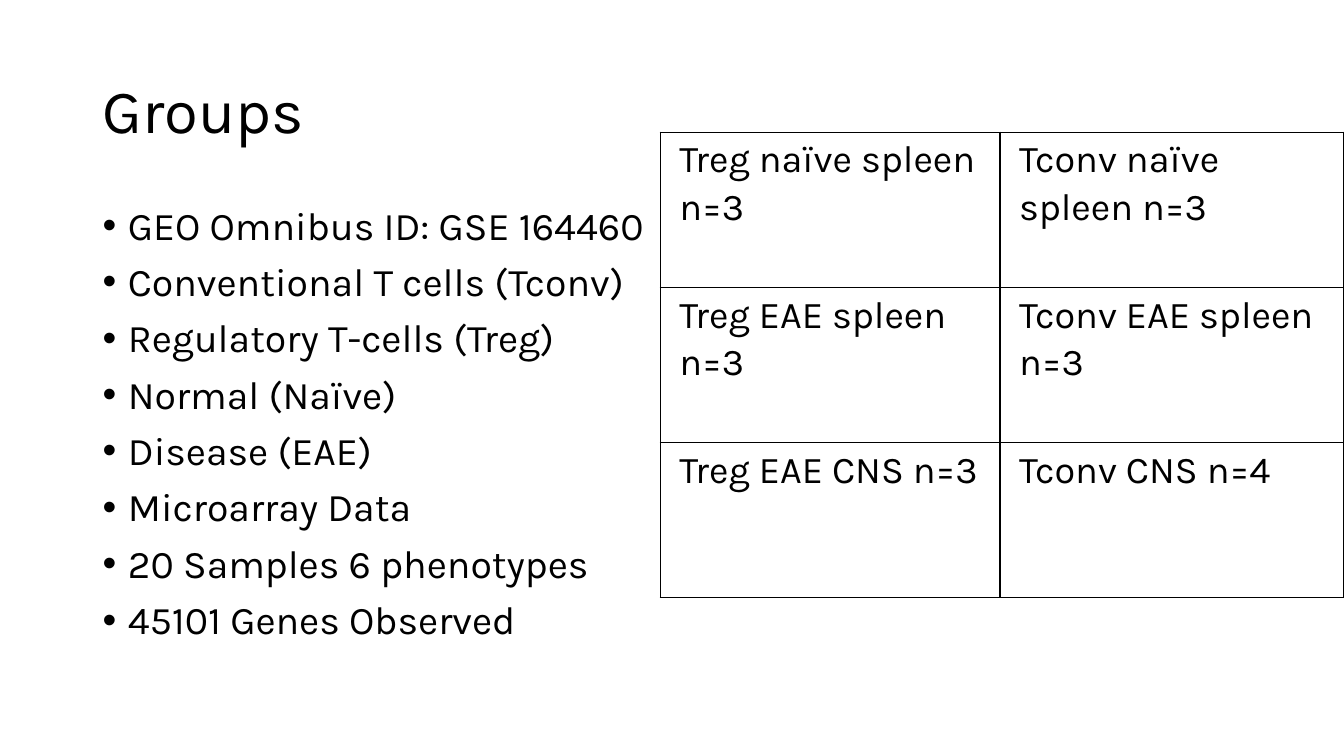
import pptx
import pptx.dml.color
import pptx.enum.text
import pptx.oxml
import pptx.oxml.ns
import pptx.util
from pptx.util import Cm

BLACK = pptx.dml.color.RGBColor(0, 0, 0)
FONT = "Karla"

ITEMS = [
    "GEO Omnibus ID: GSE 164460",
    "Conventional T cells (Tconv)",
    "Regulatory T-cells (Treg)",
    "Normal (Naïve)",
    "Disease (EAE)",
    "Microarray Data",
    "20 Samples 6 phenotypes",
    "45101 Genes Observed",
]
GROUPS = [
    ["Treg naïve spleen n=3", "Tconv naïve spleen n=3"],
    ["Treg EAE spleen n=3", "Tconv EAE spleen n=3"],
    ["Treg EAE CNS n=3", "Tconv CNS n=4"],
]


def write(p, text, size, spacing=0.9, before=0, after=0):
    """Fill one paragraph with formatted text."""
    p.alignment = pptx.enum.text.PP_ALIGN.LEFT
    p.line_spacing = spacing
    p.space_before = pptx.util.Pt(before)
    p.space_after = pptx.util.Pt(after)
    r = p.add_run()
    r.text = text
    r.font.name = FONT
    r.font.size = pptx.util.Pt(size)
    r.font.color.rgb = BLACK


def xml(markup):
    """Parse a DrawingML element written without its namespace."""
    return pptx.oxml.parse_xml(
        markup.replace(" ", f" {pptx.oxml.ns.nsdecls('a')} ", 1))


def place(sp, left, top, width, height, anchor):
    """Move a placeholder and return its text frame."""
    sp.left, sp.top, sp.width, sp.height = map(Cm, (left, top, width, height))
    tf = sp.text_frame
    tf.word_wrap = True
    tf.auto_size = pptx.enum.text.MSO_AUTO_SIZE.NONE
    tf.vertical_anchor = anchor
    return tf


def add_bullet(p):
    """Give a paragraph a hanging round bullet."""
    pPr = p._p.get_or_add_pPr()
    pPr.set("marL", str(Cm(0.64)))
    pPr.set("indent", str(-Cm(0.64)))
    pPr.append(xml('<a:buFont typeface="Arial"/>'))
    pPr.append(xml('<a:buChar char="•"/>'))


def add_borders(cell):
    """Draw a thin black line on each side of a cell."""
    tcPr = cell._tc.get_or_add_tcPr()
    for i, side in enumerate("LRTB"):
        tcPr.insert(i, xml(
            f'<a:ln{side} w="{pptx.util.Pt(1)}"><a:solidFill>'
            f'<a:srgbClr val="{BLACK}"/></a:solidFill></a:ln{side}>'))


def add_group_table(s):
    """Add the table of sample groups."""
    widths, row_height = (8.56, 8.66), 3.91
    table = s.shapes.add_table(
        len(GROUPS), len(widths), Cm(16.64), Cm(3.33),
        Cm(sum(widths)), Cm(row_height * len(GROUPS))).table
    table.first_row = table.horz_banding = False
    for column, width in zip(table.columns, widths):
        column.width = Cm(width)
    for row, texts in zip(table.rows, GROUPS):
        row.height = Cm(row_height)
        for cell, text in zip(row.cells, texts):
            cell.fill.background()
            cell.margin_left = cell.margin_right = Cm(0.48)
            cell.margin_top, cell.margin_bottom = Cm(0.08), Cm(0)
            write(cell.text_frame.paragraphs[0], text, 27,
                  spacing=1.07, after=8)
            add_borders(cell)


def main():
    prs = pptx.Presentation()
    prs.slide_width, prs.slide_height = Cm(33.87), Cm(19.05)
    s = prs.slides.add_slide(prs.slide_layouts[1])
    anchors = pptx.enum.text.MSO_ANCHOR

    # Title
    tf = place(s.shapes.title, 2.33, 1.01, 29.21, 3.68, anchors.MIDDLE)
    write(tf.paragraphs[0], "Groups", 44)

    # Study facts
    tf = place(s.placeholders[1], 2.33, 5.07, 29.21, 12.09, anchors.TOP)
    for i, item in enumerate(ITEMS):
        p = tf.add_paragraph() if i else tf.paragraphs[0]
        write(p, item, 28, before=10)
        add_bullet(p)

    # Sample groups
    add_group_table(s)

    prs.save("out.pptx")


if __name__ == "__main__":
    main()
